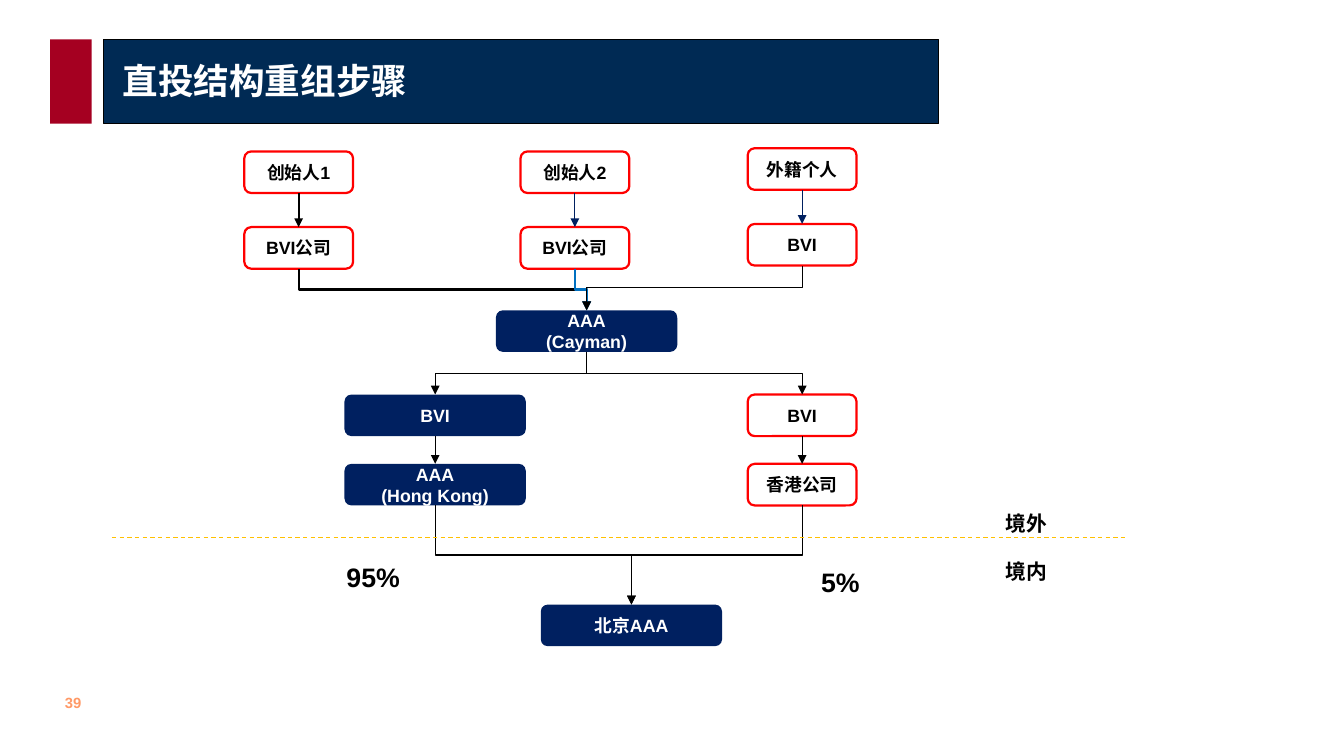
from lxml.etree import SubElement
from pptx import Presentation
from pptx.dml.color import RGBColor
from pptx.enum.dml import MSO_LINE
from pptx.enum.shapes import MSO_CONNECTOR, MSO_SHAPE
from pptx.enum.text import MSO_ANCHOR, PP_ALIGN
from pptx.oxml.ns import qn
from pptx.util import Inches, Pt

WIDE, HIGH = 12.6, 7.09
CELL = 0.1  # grid step of the chart, in inches
TALL = 3.9  # height of every box, in cells
NAVY, RED, BLACK, WHITE = "002060", "FF0000", "000000", "FFFFFF"

# Key: text, centre column, top row, kind
NODES = {
    "one": ("创始人1", 17.5, 0.3, "own"),
    "two": ("创始人2", 43.4, 0.3, "own"),
    "alien": ("外籍个人", 64.7, 0, "own"),
    "bvi1": ("BVI公司", 17.5, 7.4, "own"),
    "bvi2": ("BVI公司", 43.4, 7.4, "own"),
    "bvi3": ("BVI", 64.7, 7.1, "own"),
    "cayman": ("AAA\n(Cayman)", 44.5, 15.2, "group"),
    "left": ("BVI", 30.3, 23.1, "group"),
    "right": ("BVI", 64.7, 23.1, "own"),
    "kong": ("AAA\n(Hong Kong)", 30.3, 29.6, "group"),
    "port": ("香港公司", 64.7, 29.6, "own"),
    "china": ("北京AAA", 48.7, 42.8, "group"),
}
# Kind: width in cells, fill, line, text colour
KINDS = {"own": (10.2, WHITE, RED, BLACK), "group": (17, NAVY, None, WHITE)}
# From, to, colour, width in points
LINKS = [
    ("one", "bvi1", BLACK, 1.5),
    ("two", "bvi2", NAVY, 0.75),
    ("alien", "bvi3", NAVY, 0.75),
    ("bvi1", "cayman", BLACK, 1.5),
    ("bvi2", "cayman", "0070C0", 1.5),
    ("bvi3", "cayman", BLACK, 0.75),
    ("cayman", "left", BLACK, 0.75),
    ("cayman", "right", BLACK, 0.75),
    ("left", "kong", BLACK, 0.75),
    ("right", "port", BLACK, 0.75),
    ("kong", "china", BLACK, 0.75),
    ("port", "china", BLACK, 0.75),
]
# Text, column, row, width, height, size, font
NOTES = [
    ("境外", 82.8, 33.5, 12.2, 3.4, 14, "Times New Roman"),
    ("境内", 82.8, 38, 12.2, 3.4, 14, "Times New Roman"),
    ("95%", 21, 38.2, 9.3, 4, 18, "Arial"),
    ("5%", 65.5, 38.7, 9.3, 4, 18, "Arial"),
]


def tint(code):
    return RGBColor.from_string(code)


def write(shape, text, size=12, color=BLACK, font="Arial",
          align=PP_ALIGN.LEFT, anchor=MSO_ANCHOR.TOP, wrap=True):
    frame = shape.text_frame
    frame.text = text
    frame.word_wrap, frame.vertical_anchor = wrap, anchor
    for para in frame.paragraphs:
        para.alignment = align
        for run in para.runs:
            run.font.size, run.font.bold = Pt(size), True
            run.font.name = font
            run.font.color.rgb = tint(color)
    # Chinese glyphs take their own font
    for props in shape.element.iter(qn("a:rPr")):
        SubElement(props, qn("a:ea"), typeface="Noto Sans CJK SC")


def label(slide, text, box, **style):
    write(slide.shapes.add_textbox(*map(Inches, box)), text, **style)


def block(slide, form, box, fill, line=None, width=1.5):
    shape = slide.shapes.add_shape(form, *map(Inches, box))
    shape.shadow.inherit = False
    shape.fill.solid()
    shape.fill.fore_color.rgb = tint(fill)
    if line:
        shape.line.color.rgb = tint(line)
        shape.line.width = Pt(width)
    else:
        shape.line.fill.background()
    return shape


def wire(slide, ends, color, width, bent=False):
    form = MSO_CONNECTOR.ELBOW if bent else MSO_CONNECTOR.STRAIGHT
    wired = slide.shapes.add_connector(form, *ends)
    wired.line.color.rgb = tint(color)
    wired.line.width = Pt(width)
    SubElement(wired.element.spPr, qn("a:effectLst"))
    return wired


def link(slide, start, stop, color, width):
    x1, y1 = start.left + start.width // 2, start.top + start.height
    x2, y2 = stop.left + stop.width // 2, stop.top
    bent = x1 != x2
    wired = wire(slide, (x1, y1, x2, y2), color, width, bent)
    wired.begin_connect(start, 2)
    wired.end_connect(stop, 0)
    if bent:
        # Turn the elbow so that it leaves downwards
        drop, span = y2 - y1, abs(x2 - x1)
        wired.left = (x1 + x2 - drop) // 2
        wired.top = (y1 + y2 - span) // 2
        wired.width, wired.height = drop, span
        frame = wired.element.spPr.find(qn("a:xfrm"))
        frame.set("rot", "16200000" if x2 > x1 else "5400000")
        frame.set("flipH", "1" if x2 > x1 else "0")
    SubElement(wired.element.spPr.find(qn("a:ln")), qn("a:tailEnd"), type="triangle")


def header(slide, x, y, wide, high):
    # Navy band and red mark
    block(slide, MSO_SHAPE.RECTANGLE, (x + 0.5, y, wide - 0.5, high), "002A54", BLACK, 1)
    block(slide, MSO_SHAPE.RECTANGLE, (x, y, 0.39, high), "A50021")
    # Title, in front of the band
    title = slide.shapes.title
    title.left, title.top = Inches(x + 0.58), Inches(y + 0.01)
    title.width, title.height = Inches(wide - 0.66), Inches(high - 0.04)
    write(title, "直投结构重组步骤", size=24, color=WHITE,
          font="Times New Roman", anchor=MSO_ANCHOR.MIDDLE)
    title.element.getparent().append(title.element)


def chart(slide, x, y, wide):
    def place(col, row, across, down):
        return x + col * CELL, y + row * CELL, across * CELL, down * CELL

    # Companies and founders
    shapes = {}
    for key, (text, mid, row, kind) in NODES.items():
        across, fill, line, color = KINDS[kind]
        box = place(mid - across / 2, row, across, TALL)
        shapes[key] = block(slide, MSO_SHAPE.ROUNDED_RECTANGLE, box, fill, line)
        write(shapes[key], text, color=color, align=PP_ALIGN.CENTER,
              anchor=MSO_ANCHOR.MIDDLE)
    # Arrows
    for start, stop, color, width in LINKS:
        link(slide, shapes[start], shapes[stop], color, width)
    # Border line
    edge = Inches(y + 36.5 * CELL)
    border = wire(slide, (Inches(x), edge, Inches(x + wide), edge), "FFC000", 0.75)
    border.line.dash_style = MSO_LINE.DASH
    # Shares and regions
    for text, col, row, across, down, size, font in NOTES:
        label(slide, text, place(col, row, across, down), size=size, font=font)


def main():
    deck = Presentation()
    deck.slide_width, deck.slide_height = Inches(WIDE), Inches(HIGH)
    slide = deck.slides.add_slide(deck.slide_layouts[5])
    header(slide, 0.47, 0.37, 8.33, 0.79)
    chart(slide, 1.05, 1.39, 9.5)
    # Page number
    label(slide, "39", (0.51, 6.46, 0.37, 0.27), size=10, color="FF9966", wrap=False)
    deck.save("out.pptx")


if __name__ == "__main__":
    main()
